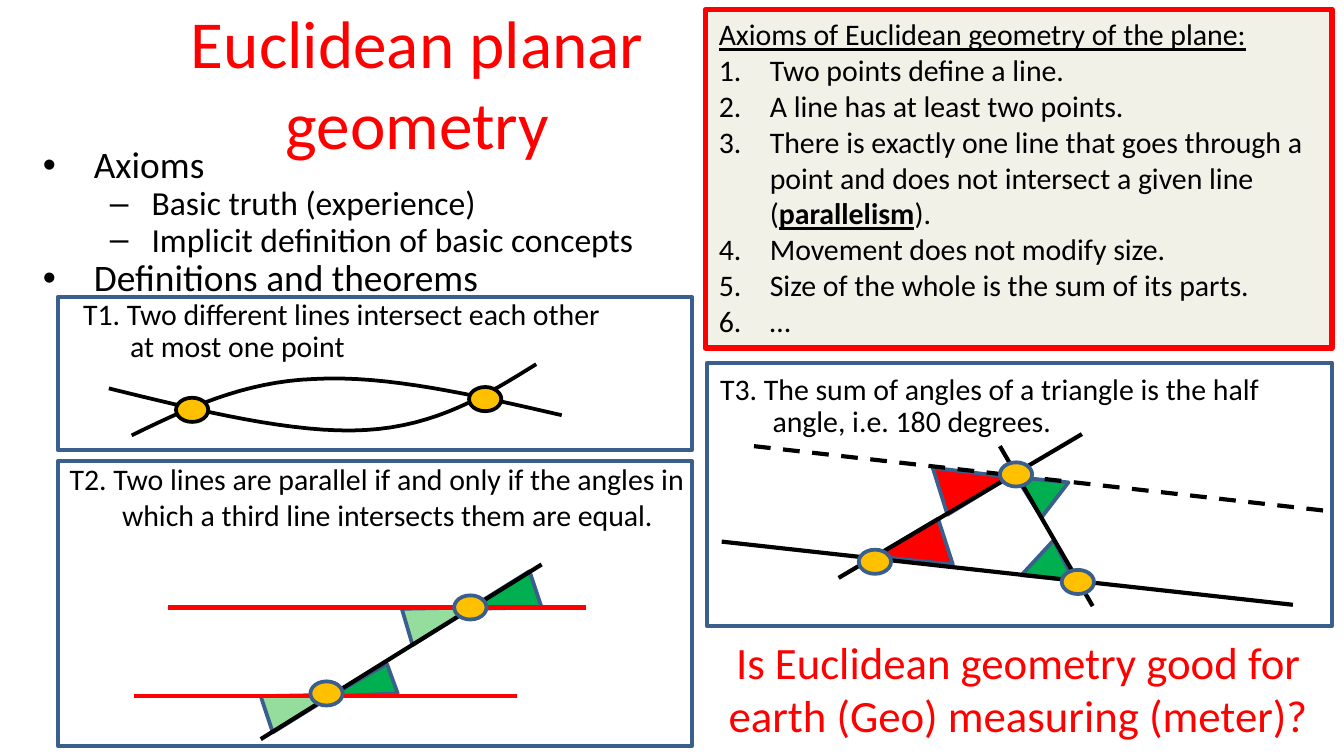
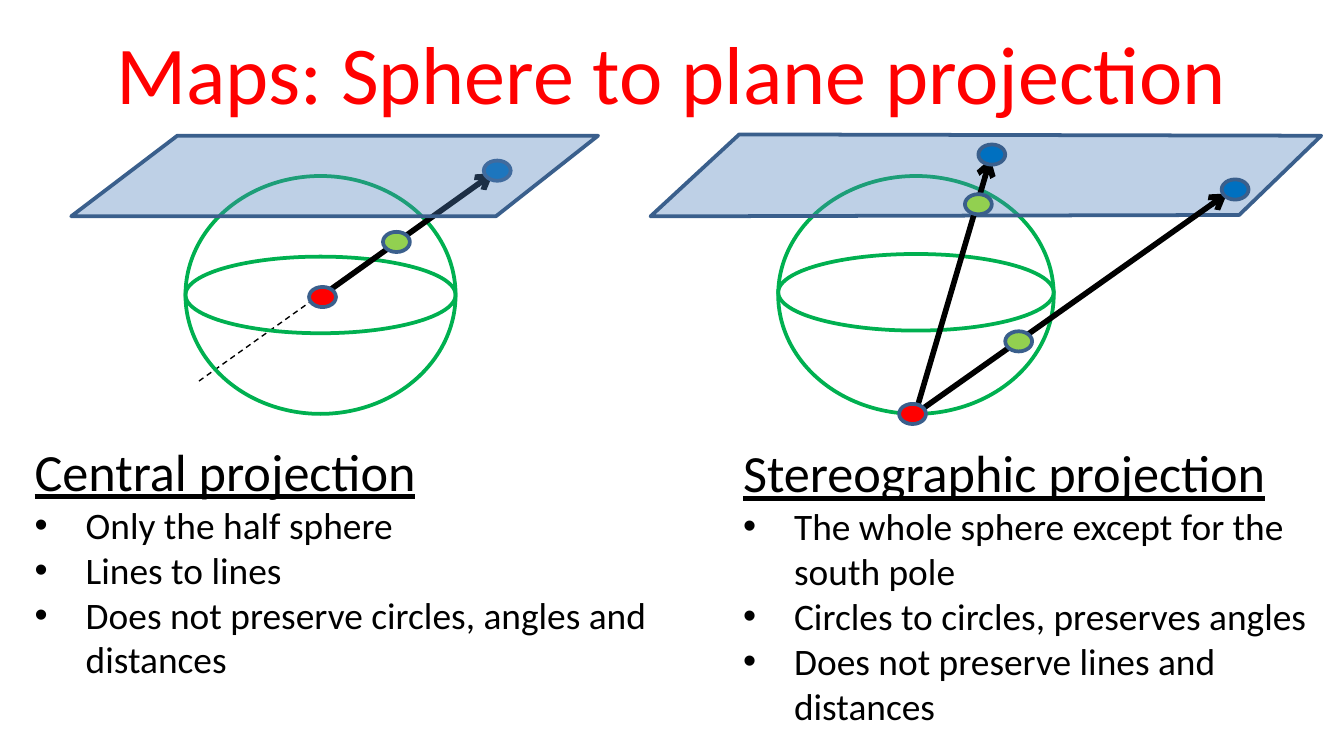
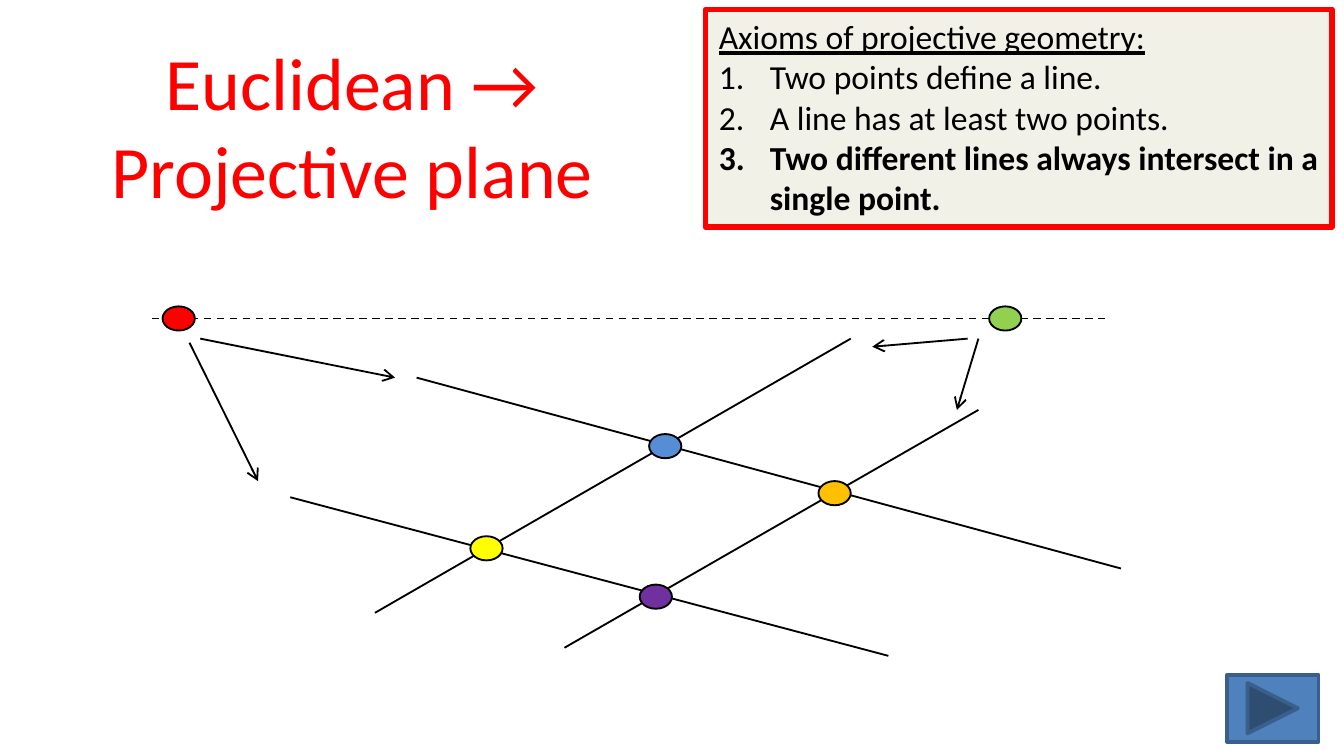
from pptx import Presentation
from pptx.dml.color import RGBColor
from pptx.enum.dml import MSO_LINE
from pptx.enum.shapes import MSO_CONNECTOR, MSO_SHAPE
from pptx.enum.text import MSO_ANCHOR, PP_ALIGN
from pptx.oxml.ns import qn
from pptx.util import Inches, Pt
from lxml.etree import SubElement

# ---- Shared look ----
SLIDE_WIDTH = Inches(10)
SLIDE_HEIGHT = SLIDE_WIDTH * 9 // 16
FONT = "Calibri"
COLORS = {
    "black": "000000", "red": "FF0000", "navy": "3A5F8C", "paper": "F2F1E8",
    "green": "00B050", "leaf": "01AF16", "lime": "92D050", "amber": "FFC000",
    "blue": "0070C0", "sky": "558ED5", "steel": "4F81BD", "yellow": "FFFF00",
    "purple": "7030A0",
}
POINT = (0.24, 0.18)
SMALL_POINT = (0.2, 0.15)
AXIOM_BOX = (5.25, 0.07, 4.66)

# Paragraph styles: left margin, first-line indent, bullet, paragraph and font formats
PLAIN = {"left": 0, "indent": 0, "bullet": None, "format": {}, "font": {}}
TIGHT = {"line_spacing": 0.9}
CENTERED = {"alignment": PP_ALIGN.CENTER}
STYLES = {
    "title": {"format": CENTERED},
    "heading": {"font": {"underline": True}},
    "projection": {"font": {"underline": True, "size": Pt(28)}},
    "numbered": {"left": 0.38, "indent": -0.38, "bullet": "number"},
    "bullet": {"left": 0.38, "indent": -0.38, "bullet": "•"},
    "topic": {"left": 0.38, "indent": -0.38, "bullet": "•", "format": TIGHT},
    "detail": {"left": 0.81, "indent": -0.31, "bullet": "–", "format": TIGHT,
               "font": {"size": Pt(18)}},
    "T1": {"left": 0.3, "format": TIGHT, "font": {"size": Pt(16)}},
    "T1 end": {"left": 0.65, "format": TIGHT, "font": {"size": Pt(16)}},
    "T2": {"left": 0.59, "indent": -0.39, "format": {"space_before": Pt(52)},
           "font": {"size": Pt(16)}},
    "T3": {"left": 0.39, "indent": -0.39, "format": TIGHT},
}

# ---- Slide 1 content ----
OUTLINE = [
    ("topic", "Axioms"),
    ("detail", "Basic truth (experience)"),
    ("detail", "Implicit definition of basic concepts"),
    ("topic", "Definitions and theorems"),
    ("T1", "T1. Two different lines intersect each other"),
    ("T1 end", "at most one point"),
    ("T2", "T2. Two lines are parallel if and only if the angles in which "
           "a third line intersects them are equal."),
]
EUCLIDEAN_AXIOMS = [
    ("heading", "Axioms of Euclidean geometry of the plane:"),
    ("numbered", "Two points define a line."),
    ("numbered", "A line has at least two points."),
    ("numbered", [
        ("There is exactly one line that goes through a point and does not "
         "intersect a given line (", {}),
        ("parallelism", {"bold": True, "underline": True}),
        (").", {})]),
    ("numbered", "Movement does not modify size."),
    ("numbered", "Size of the whole is the sum of its parts."),
    ("numbered", "…"),
]
ANGLE_SUM = [("T3", "T3. The sum of angles of a triangle is the half angle, i.e. 180 degrees.")]
QUESTION = [("title", "Is Euclidean geometry good for earth (Geo) measuring (meter)?")]
THEOREM_FRAMES = [(0.43, 2.21, 4.72, 1.14), (0.43, 3.43, 4.72, 2.12), (5.26, 2.7, 4.65, 1.96)]
ANGLES = [  # fill, opacity, corners
    ("red", 100, [(6.51, 4.14), (6.98, 3.86), (7.09, 4.2)]),
    ("red", 100, [(7.51, 3.55), (7.05, 3.83), (6.94, 3.48)]),
    ("green", 100, [(7.6, 4.28), (7.84, 4.02), (7.99, 4.32)]),
    ("green", 100, [(7.95, 3.59), (7.75, 3.85), (7.56, 3.55)]),
    ("leaf", 42, [(3.52, 4.52), (3.07, 4.8), (2.99, 4.53)]),
    ("leaf", 42, [(2.48, 5.17), (2.03, 5.45), (1.94, 5.18)]),
    ("green", 100, [(2.46, 5.18), (2.88, 4.94), (2.96, 5.16)]),
    ("green", 100, [(3.49, 4.53), (3.94, 4.25), (4.03, 4.52)]),
]
PARALLELS = [((1.25, 4.52), (4.36, 4.52)), ((1, 5.18), (3.85, 5.18))]
TRANSVERSAL = ((1.94, 5.5), (4.03, 4.2))
TRIANGLE_SIDES = [((5.37, 4.03), (9.62, 4.5)), ((6.24, 4.3), (8.05, 3.23)),
                  ((7.44, 3.32), (8.13, 4.51))]
TRIANGLE_PARALLEL = ((5.61, 3.32), (9.86, 3.8))
BENT_LINES = [  # start, then two cubic pieces
    [(0.98, 3.24), (1.39, 3.04), (1.81, 2.84), (2.34, 2.82),
     (2.88, 2.79), (3.53, 2.94), (4.18, 3.09)],
    [(0.81, 2.89), (1.5, 3.06), (2.19, 3.23), (2.72, 3.2),
     (3.25, 3.17), (3.62, 2.94), (3.99, 2.71)],
]
CROSSINGS = [(1.43, 3.05), (3.61, 2.97)]
VERTICES = [(2.43, 5.16), (3.5, 4.52), (6.51, 4.18), (8.02, 4.33), (7.56, 3.53)]

# ---- Slide 2 content ----
PROJECTIONS = [
    {"sphere": (1.38, 1.31, 2.01, 1.77), "equator": (1.38, 1.91, 2.01, 0.57),
     "plane": [(1.32, 1.01), (0.53, 1.61), (3.69, 1.61), (4.45, 1.01)],
     "plane in front": True,
     "extension": [((3.44, 1.44), (1.46, 2.85))],
     "rays": [((2.41, 2.19), (3.67, 1.29))],
     "points": [("red", (2.4, 2.21)), ("lime", (2.95, 1.8)), ("blue", (3.7, 1.27))],
     "box": (0.16, 3.22, 4.84, 1.92),
     "text": [("projection", "Central projection"),
              ("bullet", "Only the half sphere"),
              ("bullet", "Lines to lines"),
              ("bullet", "Does not preserve circles, angles and distances")]},
    {"sphere": (5.79, 1.31, 2.05, 1.77), "equator": (5.79, 1.89, 2.05, 0.57),
     "plane": [(5.5, 1), (4.84, 1.61), (9.22, 1.6), (9.83, 1.01)],
     "plane in front": False,
     "extension": [],
     "rays": [((6.81, 3.08), (7.37, 1.18)), ((6.81, 3.08), (9.13, 1.44))],
     "points": [("lime", (7.28, 1.52)), ("blue", (7.38, 1.15)), ("blue", (9.19, 1.41)),
                ("lime", (7.58, 2.54)), ("red", (6.79, 3.08))],
     "box": (5.43, 3.23, 4.59, 2.26),
     "text": [("projection", "Stereographic projection"),
              ("bullet", "The whole sphere except for the south pole"),
              ("bullet", "Circles to circles, preserves angles"),
              ("bullet", "Does not preserve lines and distances")]},
]

# ---- Slide 3 content ----
PROJECTIVE_AXIOMS = [
    ("heading", "Axioms of projective geometry:"),
    ("numbered", "Two points define a line."),
    ("numbered", "A line has at least two points."),
    ("numbered", [("Two different lines always intersect in a single point.", {"bold": True})]),
]
HORIZON = ((1.13, 2.37), (8.22, 2.37))
GRID_LINES = [((2.79, 4.56), (6.33, 2.52)), ((4.2, 4.82), (7.28, 3.05)),
              ((3.1, 2.81), (8.34, 4.23)), ((2.16, 3.7), (6.61, 4.88))]
DIRECTIONS = [((7.2, 2.52), (6.49, 2.58)), ((7.28, 2.52), (7.12, 3.05)),
              ((1.41, 2.55), (1.92, 3.58)), ((1.49, 2.52), (2.94, 2.81))]
PLANE_POINTS = [("amber", (6.21, 3.67)), ("sky", (4.95, 3.32)), ("yellow", (3.62, 4.08)),
                ("purple", (4.88, 4.44)), ("lime", (7.48, 2.37)), ("red", (1.33, 2.37))]


# ---- Drawing helpers ----
def rgb(name):
    return RGBColor.from_string(COLORS[name])


def apply(target, formats):
    for key, value in formats.items():
        setattr(target, key, value)


def paint(shape, fill, line, width, opacity=100):
    shape.shadow.inherit = False
    if fill:
        shape.fill.solid()
        shape.fill.fore_color.rgb = rgb(fill)
        if opacity < 100:
            color = shape.fill._xPr.find(qn("a:solidFill"))[0]
            SubElement(color, qn("a:alpha")).set("val", str(opacity * 1000))
    else:
        shape.fill.background()
    shape.line.color.rgb = rgb(line)
    shape.line.width = Pt(width)


def add_preset(slide, kind, box, fill=None, line="navy", width=2):
    shape = slide.shapes.add_shape(kind, *map(Inches, box))
    paint(shape, fill, line, width)
    return shape


def add_point(slide, center, fill, size=POINT, line="navy", width=2):
    (x, y), (w, h) = center, size
    add_preset(slide, MSO_SHAPE.OVAL, (x - w / 2, y - h / 2, w, h), fill, line, width)


def add_path(slide, points, fill=None, line="navy", opacity=100, close=True):
    corners = [(Inches(x), Inches(y)) for x, y in points]
    builder = slide.shapes.build_freeform(*corners[0])
    builder.add_line_segments(corners[1:], close=close)
    paint(builder.convert_to_shape(), fill, line, 2, opacity)


def add_curve(slide, controls, steps=16):
    points = controls[:1]
    for first in range(0, len(controls) - 1, 3):
        piece = controls[first:first + 4]
        for step in range(1, steps + 1):
            t = step / steps
            weights = ((1 - t) ** 3, 3 * t * (1 - t) ** 2, 3 * t * t * (1 - t), t ** 3)
            points = points + [tuple(sum(w * p[axis] for w, p in zip(weights, piece))
                                     for axis in (0, 1))]
    add_path(slide, points, line="black", close=False)


def add_line(slide, ends, color="black", width=2.25, dashed=False, arrow=False):
    start, end = ends
    line = slide.shapes.add_connector(MSO_CONNECTOR.STRAIGHT, *map(Inches, start + end))
    line.line.color.rgb = rgb(color)
    line.line.width = Pt(width)
    if dashed:
        line.line.dash_style = MSO_LINE.DASH
    if arrow:
        SubElement(line.line._get_or_add_ln(), qn("a:tailEnd")).set("type", "arrow")
    SubElement(line._element.spPr, qn("a:effectLst"))


def write(shape, paragraphs, size, color="black", anchor=MSO_ANCHOR.TOP):
    frame = shape.text_frame
    apply(frame, {"word_wrap": True, "vertical_anchor": anchor})
    for number, (style_name, content) in enumerate(paragraphs):
        style = {**PLAIN, **STYLES[style_name]}
        paragraph = frame.paragraphs[0] if number == 0 else frame.add_paragraph()
        apply(paragraph, {"alignment": PP_ALIGN.LEFT, **style["format"]})
        props = paragraph._p.get_or_add_pPr()
        props.set("marL", str(Inches(style["left"])))
        props.set("indent", str(Inches(style["indent"])))
        if style["bullet"] == "number":
            SubElement(props, qn("a:buAutoNum")).set("type", "arabicPeriod")
        elif style["bullet"]:
            SubElement(props, qn("a:buFont")).set("typeface", "Arial")
            SubElement(props, qn("a:buChar")).set("char", style["bullet"])
        for text, extra in [(content, {})] if isinstance(content, str) else content:
            run = paragraph.add_run()
            run.text = text
            apply(run.font, {"name": FONT, "size": Pt(size), **style["font"], **extra})
            run.font.color.rgb = rgb(color)


def add_text(slide, box, paragraphs, size, color="black", anchor=MSO_ANCHOR.TOP):
    write(slide.shapes.add_textbox(*map(Inches, box)), paragraphs, size, color, anchor)


def add_title(slide, box, text, size):
    add_text(slide, box, [("title", text)], size, "red", MSO_ANCHOR.MIDDLE)


def add_axioms(slide, height, axioms, size):
    box = add_preset(slide, MSO_SHAPE.RECTANGLE, AXIOM_BOX + (height,), "paper", "red", 3)
    write(box, axioms, size)


# ---- Slides ----
def euclidean_slide(slide):
    for fill, opacity, corners in ANGLES:
        add_path(slide, corners, fill, opacity=opacity)
    add_title(slide, (0.97, 0.14, 4.27, 0.94), "Euclidean planar geometry", 36)
    add_text(slide, (0.22, 1.04, 5.17, 3.32), OUTLINE, 20)
    add_axioms(slide, 2.52, EUCLIDEAN_AXIOMS, 16)
    add_text(slide, (5.26, 2.74, 4.43, 0.59), ANGLE_SUM, 16)
    for frame in THEOREM_FRAMES:
        add_preset(slide, MSO_SHAPE.RECTANGLE, frame)
    for bent in BENT_LINES:
        add_curve(slide, bent)
    for parallel in PARALLELS:
        add_line(slide, parallel, "red")
    for side in [TRANSVERSAL] + TRIANGLE_SIDES:
        add_line(slide, side)
    add_line(slide, TRIANGLE_PARALLEL, dashed=True)
    for crossing in CROSSINGS:
        add_point(slide, crossing, "amber", line="black")
    for vertex in VERTICES:
        add_point(slide, vertex, "amber")
    add_text(slide, (5.25, 4.67, 4.65, 0.91), QUESTION, 24, "red")


def maps_slide(slide):
    add_title(slide, (0.5, 0.06, 9, 0.94), "Maps: Sphere to plane projection", 44)
    for projection in PROJECTIONS:
        for extension in projection["extension"]:
            add_line(slide, extension, width=0.75, dashed=True)
        for outline in ("sphere", "equator"):
            add_preset(slide, MSO_SHAPE.OVAL, projection[outline], line="green")
        if not projection["plane in front"]:
            add_path(slide, projection["plane"], "steel", opacity=37)
        for ray in projection["rays"]:
            add_line(slide, ray, width=3, arrow=True)
        for fill, center in projection["points"]:
            add_point(slide, center, fill, SMALL_POINT)
        if projection["plane in front"]:
            add_path(slide, projection["plane"], "steel", opacity=37)
        add_text(slide, projection["box"], projection["text"], 20)


def projective_slide(slide):
    add_title(slide, (0.08, 0.46, 5.08, 0.94), "Euclidean → Projective plane", 39.6)
    add_line(slide, HORIZON, width=1, dashed=True)
    for grid_line in GRID_LINES:
        add_line(slide, grid_line, width=1)
    for fill, center in PLANE_POINTS:
        add_point(slide, center, fill, line="black", width=1)
    for direction in DIRECTIONS:
        add_line(slide, direction, width=1, arrow=True)
    add_preset(slide, MSO_SHAPE.ACTION_BUTTON_FORWARD_OR_NEXT, (9.13, 5.02, 0.68, 0.5), "steel")
    add_axioms(slide, 1.62, PROJECTIVE_AXIOMS, 18)


def main():
    deck = Presentation()
    apply(deck, {"slide_width": SLIDE_WIDTH, "slide_height": SLIDE_HEIGHT})
    for build in (euclidean_slide, maps_slide, projective_slide):
        build(deck.slides.add_slide(deck.slide_layouts[6]))
    deck.save("out.pptx")


if __name__ == "__main__":
    main()
